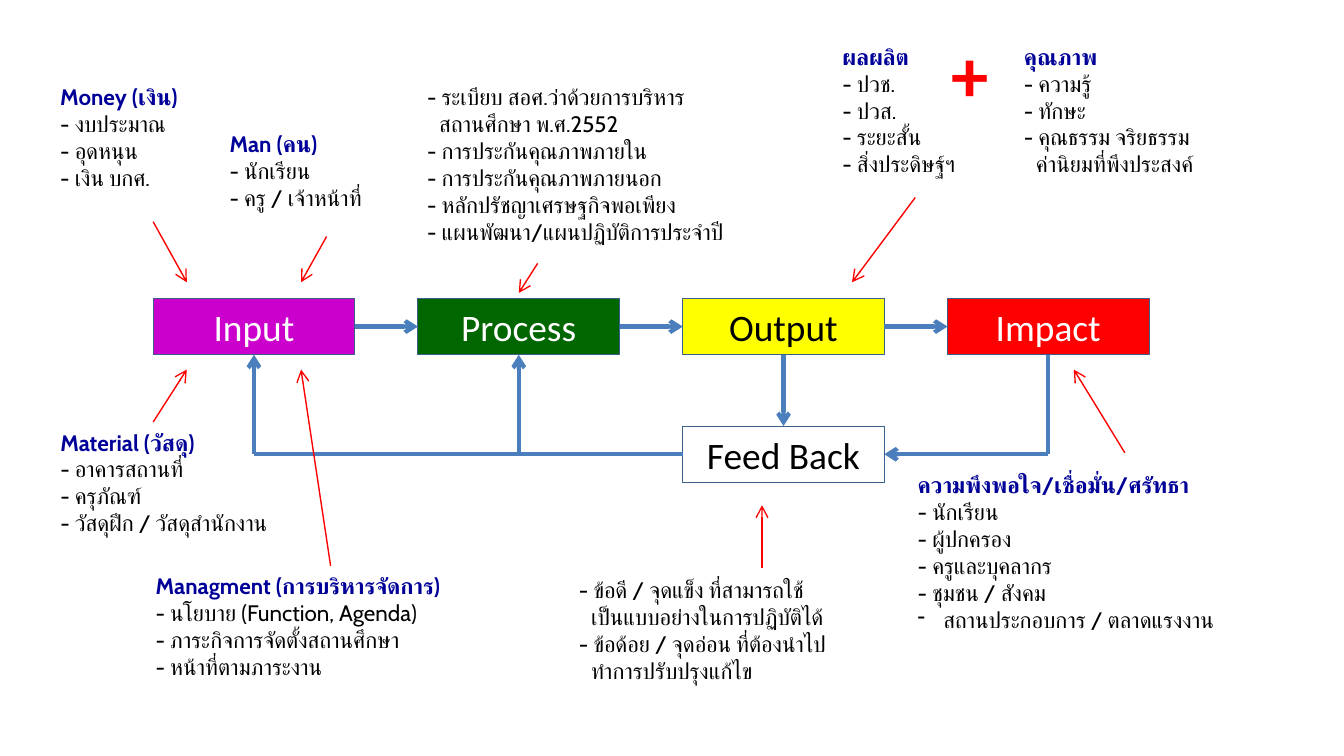
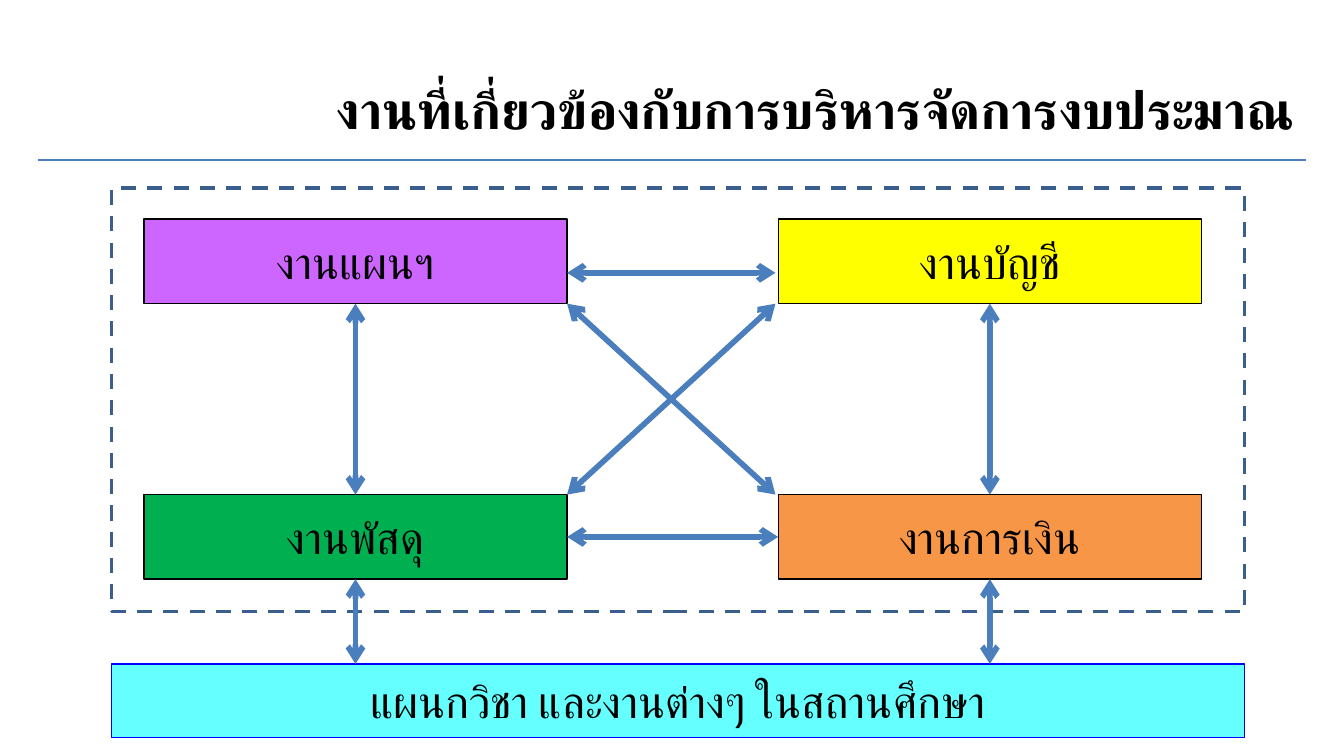
from dataclasses import dataclass
from pptx import Presentation
from pptx.dml.color import RGBColor as Rgb
from pptx.enum.dml import MSO_LINE_DASH_STYLE as Dash
from pptx.enum.shapes import MSO_CONNECTOR_TYPE as Wire, MSO_SHAPE as Kind
from pptx.enum.text import MSO_ANCHOR as Anchor, MSO_AUTO_SIZE as Fit, PP_ALIGN as Align
from pptx.oxml.ns import qn
from pptx.oxml.xmlchemy import OxmlElement as Node
from pptx.util import Inches, Pt


@dataclass(frozen=True)
class Theme:
    black: str = "000000"
    white: str = "FFFFFF"
    navy: str = "000099"
    red: str = "FF0000"
    blue: str = "4B7EBC"
    edge: str = "3A5F8C"
    yellow: str = "FFFF00"
    magenta: str = "CC00CC"
    forest: str = "006600"
    purple: str = "CC66FF"
    green: str = "00B050"
    orange: str = "F79646"
    cyan: str = "66FFFF"
    rim: str = "0000FF"
    thai: str = "Cabin"
    plain: str = "Calibri"
    note: int = 12
    stage: int = 20
    task: int = 24
    title: int = 28
    plus: int = 40


T = Theme()
TOP, BOTTOM = 0, 2
LEFT, RIGHT = 1, 3

STEPS = [
    ("Input", T.magenta, T.white),
    ("Process", T.forest, T.white),
    ("Output", T.yellow, T.black),
    ("Impact", T.red, T.white),
]
STEP_X, STEP_Y, STEP_GAP = 1.14, 2.22, 1.97
STEP_W, STEP_H = 1.5, 0.42
BACK_Y = 3.17

NOTES = [
    (6.17, 0.27, 1.16, 1.31, False, [
        ("ผลผลิต", "head"), "- ปวช.", "- ปวส.", "- ระยะสั้น", "- สิ่งประดิษฐ์ฯ"]),
    (7.52, 0.27, 1.66, 1.31, False, [
        ("คุณภาพ", "head"), "- ความรู้", "- ทักษะ", "- คุณธรรม จริยธรรม",
        ("ค่านิยมที่พึงประสงค์", "more")]),
    (6.73, 3.46, 2.91, 1.31, True, [
        ("ความพึงพอใจ/เชื่อมั่น/ศรัทธา", "head"), "- นักเรียน", "- ผู้ปกครอง",
        "- ครูและบุคลากร", "- ชุมชน / สังคม",
        ("สถานประกอบการ / ตลาดแรงงาน", "dash")]),
    (3.08, 0.57, 2.66, 1.31, False, [
        "- ระเบียบ สอศ.ว่าด้วยการบริหาร", ("สถานศึกษา พ.ศ.2552", "more"),
        "- การประกันคุณภาพภายใน", "- การประกันคุณภาพภายนอก",
        "- หลักปรัชญาเศรษฐกิจพอเพียง", "- แผนพัฒนา/แผนปฏิบัติการประจำปี"]),
    (0.35, 0.57, 1.23, 0.91, False, [
        ("Money (เงิน)", "head"), "- งบประมาณ", "- อุดหนุน", "- เงิน บกศ."]),
    (0.35, 3.14, 1.92, 0.91, False, [
        ("Material (วัสดุ)", "head"), "- อาคารสถานที่", "- ครุภัณฑ์",
        "- วัสดุฝึก / วัสดุสำนักงาน"]),
    (1.61, 0.92, 1.31, 0.71, False, [
        ("Man (คน)", "head"), "- นักเรียน", "- ครู / เจ้าหน้าที่"]),
    (1.06, 4.21, 2.81, 0.91, False, [
        ("Managment (การบริหารจัดการ)", "head"), "- นโยบาย (Function, Agenda)",
        "- ภาระกิจการจัดตั้งสถานศึกษา", "- หน้าที่ตามภาระงาน"]),
    (4.21, 4.24, 2.33, 0.91, False, [
        "- ข้อดี / จุดแข็ง ที่สามารถใช้", ("เป็นแบบอย่างในการปฏิบัติได้", "more"),
        "- ข้อด้อย / จุดอ่อน ที่ต้องนำไป", ("ทำการปรับปรุงแก้ไข", "more")]),
]

HINTS = [
    ((6.81, 1.47), (6.34, 2.1)),
    ((8.37, 3.37), (7.99, 2.75)),
    ((4, 1.96), (3.86, 2.18)),
    ((1.14, 1.65), (1.39, 2.1)),
    ((2.43, 1.76), (2.24, 2.1)),
    ((1.14, 3.14), (1.39, 2.75)),
    ((2.46, 4.21), (2.24, 2.75)),
    ((5.67, 4.23), (5.67, 3.76)),
]

TITLE = "งานที่เกี่ยวข้องกับการบริหารจัดการงบประมาณ"
TASKS = [
    [("งานแผนฯ", T.purple), ("งานบัญชี", T.yellow)],
    [("งานพัสดุ", T.green), ("งานการเงิน", T.orange)],
]
TASK_X, TASK_Y = (1.07, 5.79), (1.63, 3.68)
TASK_W, TASK_H = 3.15, 0.63
UNITS = "แผนกวิชา และงานต่างๆ ในสถานศึกษา"
WIDE_X, WIDE_W, UNIT_Y = 0.83, 8.43, 4.94


def write(frame, lines, size=T.note, font=T.thai, color=T.black, bold=False,
          align=Align.LEFT, anchor=Anchor.TOP, wrap=True):
    frame.word_wrap = wrap
    frame.vertical_anchor = anchor
    par = None
    for line in lines:
        text, style = (line, "") if isinstance(line, str) else line
        if par is None:
            par = frame.paragraphs[0] if line is lines[0] else frame.add_paragraph()
        par.alignment = align
        props = par._p.get_or_add_pPr()
        if style == "more":
            props.set("marL", str(Inches(0.09)))
        elif style == "dash":
            props.set("marL", str(Inches(0.19)))
            props.set("indent", str(Inches(-0.19)))
            mark = Node("a:buChar")
            mark.set("char", "-")
            props.append(mark)
        run = par.add_run()
        run.text = text
        look = run.font
        look.size = Pt(size)
        look.bold = bold or style == "head"
        look.color.rgb = Rgb.from_string(T.navy if style == "head" else color)
        look.name = font
        thai = Node("a:cs")
        thai.set("typeface", font)
        run._r.get_or_add_rPr().append(thai)
        if style == "head":
            par.add_line_break()
        else:
            par = None


def label(slide, x, y, w, h, lines, grow=True, **fmt):
    box = slide.shapes.add_textbox(*map(Inches, (x, y, w, h)))
    write(box.text_frame, lines, **fmt)
    box.text_frame.auto_size = Fit.SHAPE_TO_FIT_TEXT if grow else Fit.NONE


def block(slide, x, y, w, h, text="", fill=None, edge=T.edge, thick=0.5, **fmt):
    box = slide.shapes.add_shape(Kind.RECTANGLE, *map(Inches, (x, y, w, h)))
    box.shadow.inherit = False
    if fill:
        box.fill.solid()
        box.fill.fore_color.rgb = Rgb.from_string(fill)
    else:
        box.fill.background()
    box.line.color.rgb = Rgb.from_string(edge)
    box.line.width = Pt(thick)
    if text:
        write(box.text_frame, [text], align=Align.CENTER, anchor=Anchor.MIDDLE, **fmt)
    return box


def link(slide, start, end, color=T.blue, thick=2.25, head=False, tail=True):
    def spot(place):
        return (0, 0) if hasattr(place[0], "shape_id") else map(Inches, place)

    wire = slide.shapes.add_connector(Wire.STRAIGHT, *spot(start), *spot(end))
    if hasattr(end[0], "shape_id"):
        wire.end_connect(*end)
    if hasattr(start[0], "shape_id"):
        wire.begin_connect(*start)
    wire.line.color.rgb = Rgb.from_string(color)
    wire.line.width = Pt(thick)
    props = wire._element.spPr
    for tag, shown in (("a:headEnd", head), ("a:tailEnd", tail)):
        if shown:
            tip = Node(tag)
            tip.set("type", "arrow")
            props.find(qn("a:ln")).append(tip)
    props.append(Node("a:effectLst"))


def flow(slide):
    def step(col, y, text, fill, color):
        return block(slide, STEP_X + col * STEP_GAP, y, STEP_W, STEP_H, text, fill,
                     size=T.stage, font=T.plain, color=color)

    steps = [step(i, STEP_Y, *item) for i, item in enumerate(STEPS)]
    back = step(2, BACK_Y, "Feed Back", None, T.black)
    for one, two in zip(steps, steps[1:]):
        link(slide, (one, RIGHT), (two, LEFT))

    mids = [STEP_X + i * STEP_GAP + STEP_W / 2 for i in range(len(STEPS))]
    turns = [(x, BACK_Y + STEP_H / 2) for x in mids]
    link(slide, (steps[2], BOTTOM), (back, TOP))
    link(slide, (steps[3], BOTTOM), turns[3], tail=False)
    link(slide, turns[3], (back, RIGHT))
    link(slide, (back, LEFT), turns[0], tail=False)
    for i in (0, 1):
        link(slide, turns[i], (steps[i], BOTTOM))

    for x, y, w, h, wrap, lines in NOTES:
        label(slide, x, y, w, h, lines, wrap=wrap)
    label(slide, 6.98, 0.16, 0.48, 0.77, ["+"], size=T.plus, font=T.plain,
          color=T.red, bold=True, wrap=False)
    for start, end in HINTS:
        link(slide, start, end, color=T.red, thick=0.75)


def web(slide):
    def both(start, end):
        link(slide, start, end, thick=3, head=True)

    look = dict(edge=T.black, thick=0.75, size=T.task)
    label(slide, 0.28, 0.45, 9.45, 0.71, [TITLE], grow=False, size=T.title,
          bold=True, align=Align.RIGHT, anchor=Anchor.MIDDLE)
    link(slide, (0.28, 1.19), (9.72, 1.19), thick=0.75, tail=False)
    grid = [[block(slide, x, y, TASK_W, TASK_H, text, fill, **look)
             for x, (text, fill) in zip(TASK_X, row)]
            for y, row in zip(TASK_Y, TASKS)]

    near, far = TASK_X[0] + TASK_W, TASK_X[1] - 0.02
    high, low = TASK_Y[0] + TASK_H, TASK_Y[1]
    both((near, high), (far, low))
    both((far, high), (near, low))
    both((near, 2.03), (far, 2.03))
    both((grid[1][0], RIGHT), (grid[1][1], LEFT))

    block(slide, WIDE_X, UNIT_Y, WIDE_W, 0.55, UNITS, T.cyan, **{**look, "edge": T.rim})
    area = block(slide, WIDE_X, 1.4, WIDE_W, 3.15, thick=2)
    area.line.dash_style = Dash.DASH
    for x, upper, lower in zip(TASK_X, *grid):
        both((upper, BOTTOM), (lower, TOP))
        both((lower, BOTTOM), (x + TASK_W / 2, UNIT_Y))


def main():
    deck = Presentation()
    deck.slide_width = Inches(10)
    deck.slide_height = deck.slide_width * 9 // 16
    for draw in (flow, web):
        draw(deck.slides.add_slide(deck.slide_layouts[6]))
    deck.save("out.pptx")


if __name__ == "__main__":
    main()
